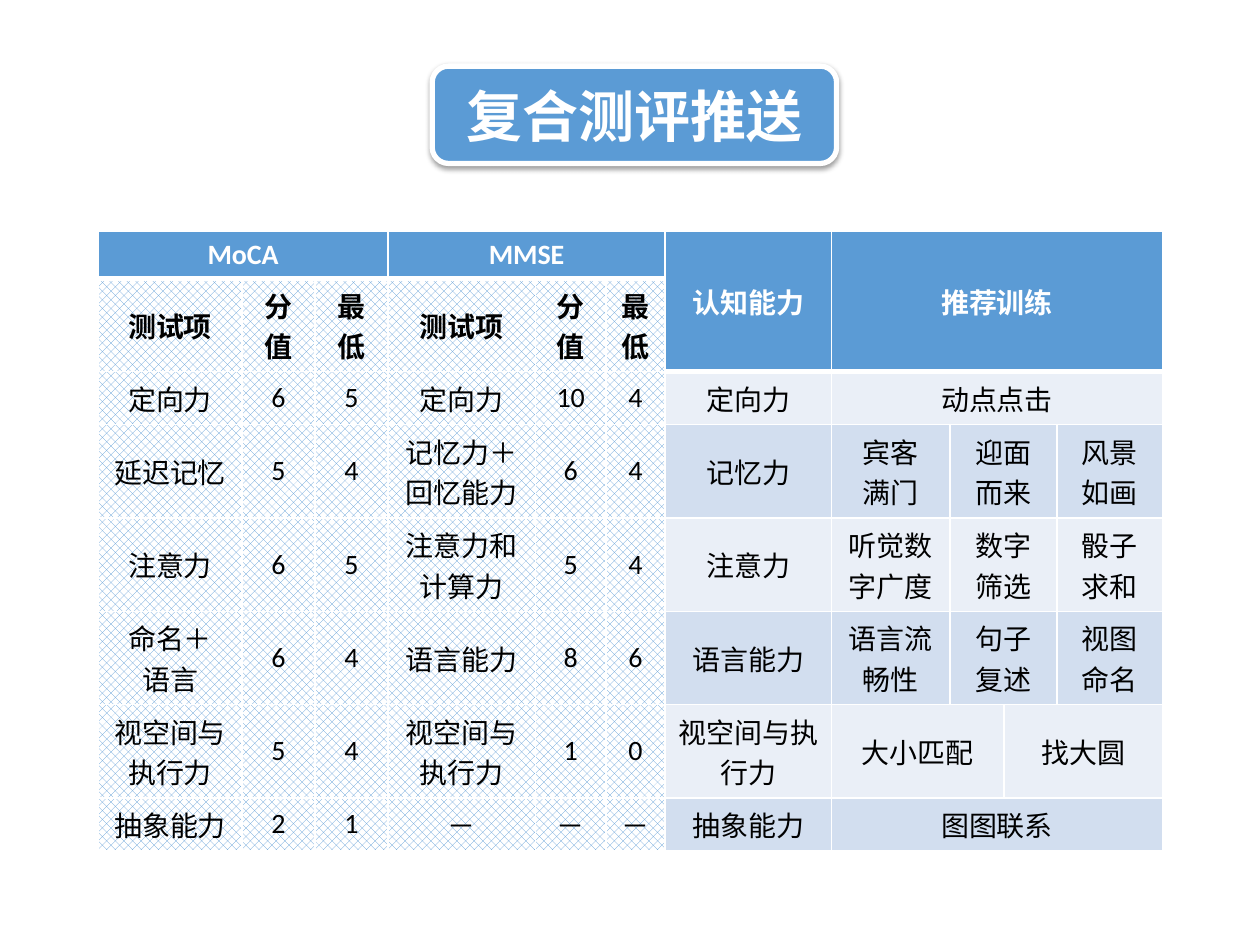
from dataclasses import dataclass

from lxml import etree
from pptx import Presentation
from pptx.dml.color import RGBColor
from pptx.enum.dml import MSO_PATTERN
from pptx.enum.shapes import MSO_SHAPE
from pptx.enum.text import MSO_ANCHOR, PP_ALIGN
from pptx.oxml.ns import qn
from pptx.util import Inches, Pt

BADGE = MSO_SHAPE.FLOWCHART_ALTERNATE_PROCESS
HATCH = MSO_PATTERN.PERCENT_50
MIDDLE = MSO_ANCHOR.MIDDLE
CENTER = PP_ALIGN.CENTER


@dataclass(frozen=True)
class Theme:
    blue: str = "5B9BD5"
    white: str = "FFFFFF"
    black: str = "000000"
    bands: tuple = ("EAEFF7", "D2DEEF")
    font: str = "Calibri"
    alt: str = "Roboto"
    title: int = 32
    body: int = 16
    thin: int = 1
    thick: int = 3


@dataclass(frozen=True)
class Item:
    text: str
    cols: int = 1
    rows: int = 1


THEME = Theme()
WIDE, HIGH = 10, 7.5
COLS = (1.14, 0.58, 0.58, 1.17, 0.56, 0.47, 1.32, 0.94, 0.43, 0.42, 0.84)
LOW, TALL = 0.34, 0.59
ROWS = (LOW, TALL, LOW, TALL, TALL, TALL, TALL, LOW)
HEADS = 2  # header rows
TESTS = 6  # columns of the two tests, left of the training part

# Header items by starting column
TOP = {0: Item("MoCA", 3), 3: Item("MMSE", 3),
       6: Item("认知能力", 1, 2), 7: Item("推荐训练", 4, 2)}
SUB = ("测试项", "分值", "最低") * 2

# Body: six test values, the ability, then the trainings
BODY = (
    ("定向力", "6", "5", "定向力", "10", "4", "定向力", "动点点击"),
    ("延迟记忆", "5", "4", "记忆力＋\n回忆能力", "6", "4", "记忆力",
     "宾客\n满门", "迎面而来", "风景如画"),
    ("注意力", "6", "5", "注意力和计算力", "5", "4", "注意力",
     "听觉数字广度", "数字筛选", "骰子求和"),
    ("命名＋\n语言", "6", "4", "语言能力", "8", "6", "语言能力",
     "语言流畅性", "句子复述", "视图\n命名"),
    ("视空间与执行力", "5", "4", "视空间与执行力", "1", "0", "视空间与执行力",
     "大小匹配", "找大圆"),
    ("抽象能力", "2", "1", "－", "－", "－", "抽象能力", "图图联系"),
)
SPANS = {1: (4,), 2: (2, 2), 3: (1, 2, 1)}  # training columns by count


def rgb(code: str) -> RGBColor:
    return RGBColor.from_string(code)


def write(frame, text: str, size: int, font: str, color: str, bold: bool) -> None:
    frame.text = text
    for par in frame.paragraphs:
        par.alignment = CENTER
        par.font.size = Pt(size)
        par.font.name = font
        par.font.bold = bold
        par.font.color.rgb = rgb(color)


def shade(shape) -> None:
    """Give the shape a soft shadow straight below it."""
    fx = etree.SubElement(shape._element.spPr, qn("a:effectLst"))
    cast = etree.SubElement(fx, qn("a:outerShdw"), blurRad=str(Pt(3.1)),
                            dist=str(Pt(1.6)), dir="5400000", rotWithShape="0")
    tint = etree.SubElement(cast, qn("a:srgbClr"), val=THEME.black)
    etree.SubElement(tint, qn("a:alpha"), val="38000")


def edge(cell, side: str, width: int) -> None:
    line = etree.SubElement(cell._tc.get_or_add_tcPr(), qn(f"a:ln{side}"),
                            w=str(Pt(width)))
    fill = etree.SubElement(line, qn("a:solidFill"))
    etree.SubElement(fill, qn("a:srgbClr"), val=THEME.white)


def style(cell, row: int, col: int) -> None:
    """Set borders first, then the fill for this part of the table."""
    left = col < TESTS
    last = 0 if left else HEADS - 1  # last blue row in this column
    for side in "LRTB":
        heavy = (side == "B" and row in (0, last)) or (side == "T" and row == last + 1)
        edge(cell, side, THEME.thick if heavy else THEME.thin)
    if left and row > 0:
        cell.fill.patterned()
        cell.fill.pattern = HATCH
        cell.fill.fore_color.rgb = rgb(THEME.blue)
        cell.fill.back_color.rgb = rgb(THEME.white)
    else:
        cell.fill.solid()
        head = row < HEADS
        code = THEME.blue if head else THEME.bands[(row - HEADS) % 2]
        cell.fill.fore_color.rgb = rgb(code)
    cell.vertical_anchor = MIDDLE


def put(table, row: int, col: int, item: Item) -> None:
    cell = table.cell(row, col)
    if item.cols * item.rows > 1:
        cell.merge(table.cell(row + item.rows - 1, col + item.cols - 1))
    body = row >= HEADS
    font = THEME.alt if body and col >= TESTS else THEME.font
    color = THEME.white if row == 0 else THEME.black
    write(cell.text_frame, item.text, THEME.body, font, color, not body)


def add_title(slide) -> None:
    box = slide.shapes.add_shape(BADGE, Inches(0.343 * WIDE), Inches(0.07 * HIGH),
                                 Inches(0.321 * WIDE), Inches(0.103 * HIGH))
    box.fill.solid()
    box.fill.fore_color.rgb = rgb(THEME.blue)
    box.line.color.rgb = rgb(THEME.white)
    box.line.width = Pt(THEME.thick)
    shade(box)
    box.text_frame.vertical_anchor = MIDDLE
    write(box.text_frame, "复合测评推送", THEME.title, THEME.font, THEME.white, True)


def add_grid(slide) -> None:
    frame = slide.shapes.add_table(
        len(ROWS), len(COLS), Inches(0.078 * WIDE), Inches(0.245 * HIGH),
        Inches(sum(COLS)), Inches(sum(ROWS)))
    table = frame.table
    table.first_row = table.horz_banding = False
    for col, width in zip(table.columns, COLS):
        col.width = Inches(width)
    for row, height in zip(table.rows, ROWS):
        row.height = Inches(height)
    for row in range(len(ROWS)):
        for col in range(len(COLS)):
            style(table.cell(row, col), row, col)

    # Header rows
    for col, item in TOP.items():
        put(table, 0, col, item)
    for col, text in enumerate(SUB):
        put(table, 1, col, Item(text))

    # Body rows
    for row, texts in enumerate(BODY, HEADS):
        spans = (1,) * (TESTS + 1) + SPANS[len(texts) - TESTS - 1]
        col = 0
        for text, span in zip(texts, spans):
            put(table, row, col, Item(text, span))
            col += span


def main() -> None:
    deck = Presentation()
    deck.slide_width, deck.slide_height = Inches(WIDE), Inches(HIGH)
    slide = deck.slides.add_slide(deck.slide_layouts[6])
    add_title(slide)
    add_grid(slide)
    deck.save("out.pptx")


if __name__ == "__main__":
    main()
